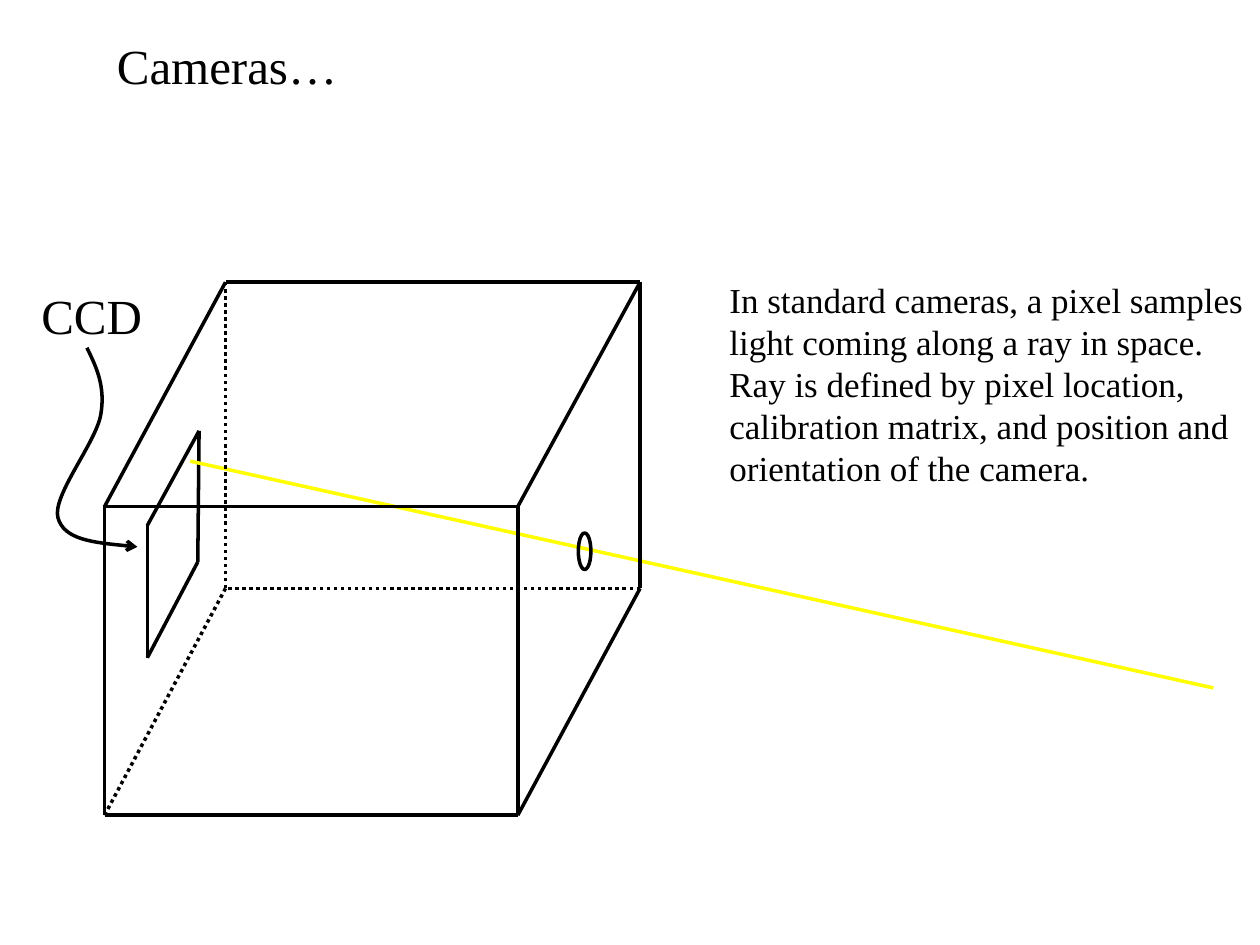
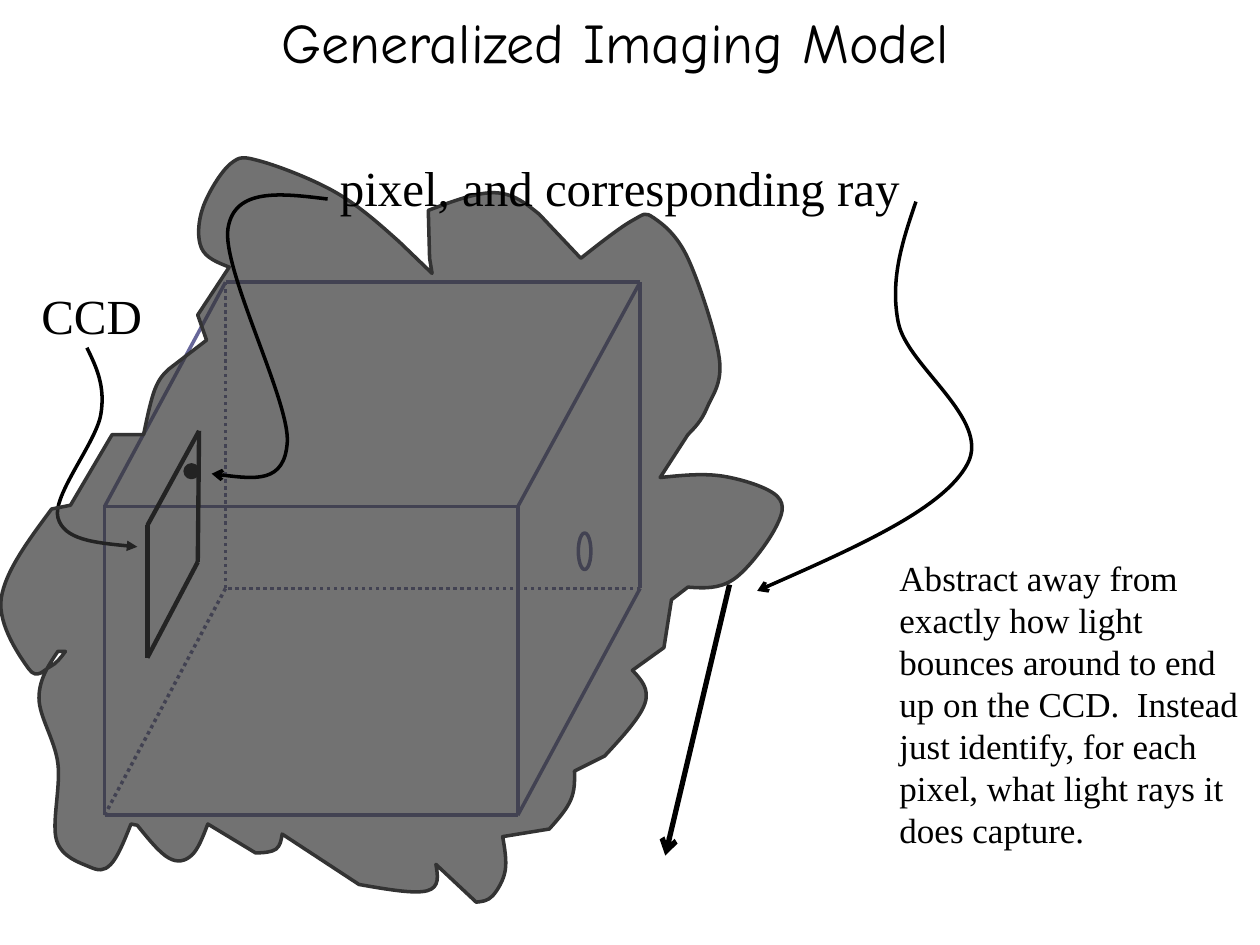
from dataclasses import dataclass
from lxml.etree import SubElement
from pptx import Presentation
from pptx.dml.color import RGBColor
from pptx.enum.dml import MSO_LINE
from pptx.enum.shapes import MSO_CONNECTOR, MSO_SHAPE
from pptx.enum.text import MSO_ANCHOR, MSO_AUTO_SIZE, PP_ALIGN
from pptx.oxml.ns import qn
from pptx.util import Cm, Pt


@dataclass(frozen=True)
class Theme:
    ink: str = "000000"
    paper: str = "FFFFFF"
    ray: str = "FFFF00"
    faded: str = "666699"
    cloud: str = "333333"
    cloud_opacity: int = 69
    serif: str = "Times New Roman"
    comic: str = "Comic Neue"
    title: int = 32
    label: int = 28
    body: int = 20
    thin: float = 2.01
    medium: float = 2.49
    thick: float = 3


THEME = Theme()
SLIDE_SIZE = (10, 7.5)

CAMERA_TITLE = ("Cameras…", (0.83, 0.23, 8.46, 0.57))
CAMERA_NOTE = (
    "In standard cameras, a pixel samples light coming along a ray in space.  "
    "Ray is defined by pixel location, calibration matrix, and position and "
    "orientation of the camera.", (5.69, 2.16, 4.31, 1.77))
MODEL_TITLE = ("Generalized Imaging Model", (0.72, 0, 8.33, 0.65))
MODEL_NOTE = (
    "Abstract away from exactly how light bounces around to end up on the CCD.  "
    "Instead just identify, for each pixel, what light rays it does capture.",
    (7.04, 4.37, 2.89, 2.44))
CCD_LABEL = ("CCD", (0.23, 2.22, 1, 0.57))
PIXEL_LABEL = ("pixel, and corresponding ray", (2.6, 1.2, 4.64, 0.57))

FRONT_FACE = [(0.83, 4.02), (4.11, 4.02), (4.11, 6.47), (0.83, 6.47)]
BACK_FACE = [(1.79, 2.24), (5.08, 2.24), (5.08, 4.67), (1.79, 4.67)]
HIDDEN_CORNER = BACK_FACE[3]
CCD_CORNERS = [(1.17, 4.17), (1.58, 3.42), (1.57, 4.46), (1.17, 5.22)]
PINHOLE = (4.59, 4.23, 0.1, 0.29)
PIXEL_DOT = (1.47, 3.69, 0.1, 0.1)
CAMERA_RAY = [(1.51, 3.66), (9.63, 5.46)]
MODEL_RAY = [(5.79, 4.64), (5.28, 6.79)]

CCD_POINTER = [(0.69, 2.76), (0.8, 3.29), (0.46, 4.11), (1.09, 4.34)]
PIXEL_POINTER = [(2.6, 1.58), (1.81, 1.81), (2.28, 3.51), (1.68, 3.76)]
RAY_POINTER = [(7.27, 1.6), (7.13, 2.56), (7.68, 3.68), (6.01, 4.69)]

CLOUD_LOBES = [
    [(5.46, 4.66), (5.82, 4.6), (6.15, 4.2), (6.17, 3.94), (5.74, 3.78), (5.24, 3.79)],
    [(5.46, 3.45), (5.61, 3.24), (5.71, 2.85), (5.46, 2.05), (5.19, 1.73),
     (5.02, 1.75), (4.61, 2.05)],
    [(4.28, 1.7), (3.93, 1.53), (3.4, 1.67)],
    [(3.41, 2.05), (3.43, 2.17)],
    [(3.17, 1.92), (2.67, 1.53), (2.07, 1.28), (1.83, 1.3), (1.61, 1.65),
     (1.6, 1.97), (1.82, 2.12)],
    [(1.57, 2.5), (1.64, 2.7)],
    [(1.34, 2.93), (1.23, 3.09), (1.14, 3.45)],
    [(0.89, 3.45), (0.56, 4.01)],
    [(0.41, 4.04), (0.01, 4.75), (0.23, 5.31), (0.4, 5.29), (0.52, 5.17)],
    [(0.46, 5.17), (0.31, 5.54), (0.46, 6.06), (0.45, 6.67), (0.71, 6.88),
     (0.88, 6.86), (1.04, 6.54)],
    [(1.09, 6.55), (1.34, 6.81), (1.52, 6.79), (1.65, 6.54)],
    [(2.03, 6.77), (2.19, 6.74), (2.24, 6.62)],
    [(2.85, 7.02), (3.39, 7.07), (3.46, 6.86)],
    [(3.78, 7.16), (3.91, 7.11), (4.01, 6.91), (3.99, 6.64)],
    [(4.36, 6.58), (4.53, 6.35), (4.56, 6.12)],
    [(4.8, 6), (5.12, 5.58), (5.02, 5.32)],
    [(5.27, 5.14), (5.33, 4.76)],
    [(5.46, 4.66)],
]


def lengths(inches):
    return [Cm(value * 2.54) for value in inches]


def style_line(shape, color, width, dotted=False, arrow=None):
    shape.line.color.rgb = RGBColor.from_string(color)
    shape.line.width = Pt(width)
    if dotted:
        shape.line.dash_style = MSO_LINE.ROUND_DOT
    if arrow:
        outline = shape.element.spPr.find(qn("a:ln"))
        SubElement(outline, qn("a:tailEnd"), type=arrow)


def style_fill(shape, color):
    if color is None:
        shape.fill.background()
    else:
        shape.fill.solid()
        shape.fill.fore_color.rgb = RGBColor.from_string(color)


def add_line(shapes, ends, color=THEME.ink, width=THEME.thin, dotted=False, arrow=None):
    start, end = ends
    connector = shapes.add_connector(MSO_CONNECTOR.STRAIGHT, *lengths(start + end))
    style_line(connector, color, width, dotted, arrow)
    SubElement(connector.element.spPr, qn("a:effectLst"))


def add_ellipse(shapes, frame, color, fill=None):
    ellipse = shapes.add_shape(MSO_SHAPE.OVAL, *lengths(frame))
    ellipse.shadow.inherit = False
    style_fill(ellipse, fill)
    style_line(ellipse, color, THEME.thin)


def middle(first, second):
    return tuple((a + b) / 2 for a, b in zip(first, second))


def smooth(knots):
    slopes = [
        tuple((b - a) / 6 for a, b in zip(before, after))
        for before, after in zip(knots, knots[2:])]
    leaving = [tuple(k + s for k, s in zip(*pair)) for pair in zip(knots[1:], slopes)]
    arriving = [tuple(k - s for k, s in zip(*pair)) for pair in zip(knots[1:], slopes)]
    leaving.insert(0, middle(knots[0], arriving[0] if arriving else knots[1]))
    arriving.append(middle(knots[-1], leaving[-1]))
    return [point for curve in zip(leaving, arriving, knots[1:]) for point in curve]


def add_curve(shapes, lobes, color=THEME.ink, arrow=None, fill=None):
    points = [lobes[0][0]]
    for lobe in lobes:
        if lobe[0] != points[-1]:
            points += [points[-1], lobe[0], lobe[0]]
        if len(lobe) > 1:
            points += smooth(lobe)
    start, *handles = [lengths(point) for point in points]
    builder = shapes.build_freeform(*start)
    builder.add_line_segments(handles, close=fill is not None)
    curve = builder.convert_to_shape()
    segments = list(curve.element.iter(qn("a:lnTo")))
    for first, second, third in zip(segments[::3], segments[1::3], segments[2::3]):
        first.tag = qn("a:cubicBezTo")
        for segment in (second, third):
            first.append(segment[0])
            segment.getparent().remove(segment)
    curve.shadow.inherit = False
    style_fill(curve, fill)
    style_line(curve, color, THEME.thin, arrow=arrow)
    return curve


def add_text(shapes, content, size, font=THEME.serif, wrap=True):
    text, frame = content
    box = shapes.add_textbox(*lengths(frame))
    text_frame = box.text_frame
    text_frame.text = text
    text_frame.word_wrap = wrap
    text_frame.auto_size = MSO_AUTO_SIZE.SHAPE_TO_FIT_TEXT
    run_font = text_frame.paragraphs[0].runs[0].font
    run_font.name = font
    run_font.size = Pt(size)
    run_font.color.rgb = RGBColor.from_string(THEME.ink)
    return text_frame


def outline_edges(corners):
    return list(zip(corners, corners[1:] + corners[:1]))


def add_camera_box(shapes, color, pinhole_fill=None):
    edges = outline_edges(FRONT_FACE) + outline_edges(BACK_FACE)
    for ends in edges + list(zip(FRONT_FACE, BACK_FACE)):
        add_line(shapes, ends, color, dotted=HIDDEN_CORNER in ends)
    add_ellipse(shapes, PINHOLE, color, pinhole_fill)


def add_ccd(shapes, width, arrow):
    group = shapes.add_group_shape()
    for ends in outline_edges(CCD_CORNERS):
        add_line(group.shapes, ends, width=width)
    add_text(group.shapes, CCD_LABEL, THEME.label, wrap=False)
    add_curve(group.shapes, [CCD_POINTER], arrow=arrow)


def build_camera_slide(shapes):
    add_text(shapes, CAMERA_TITLE, THEME.label)
    add_ccd(shapes, THEME.thin, "arrow")
    add_line(shapes, CAMERA_RAY, THEME.ray)
    add_text(shapes, CAMERA_NOTE, THEME.body)
    add_camera_box(shapes, THEME.ink)


def build_model_slide(shapes):
    title = add_text(shapes, MODEL_TITLE, THEME.title, THEME.comic)
    title.auto_size = MSO_AUTO_SIZE.NONE
    title.vertical_anchor = MSO_ANCHOR.MIDDLE
    title.paragraphs[0].alignment = PP_ALIGN.CENTER
    add_camera_box(shapes, THEME.faded, THEME.paper)
    add_line(shapes, MODEL_RAY, width=THEME.thick, arrow="arrow")
    add_ccd(shapes, THEME.medium, "triangle")
    add_ellipse(shapes, PIXEL_DOT, THEME.ink, THEME.ink)
    add_text(shapes, MODEL_NOTE, THEME.body)
    cloud = add_curve(shapes, CLOUD_LOBES, THEME.cloud, fill=THEME.cloud)
    cloud_color = cloud.element.spPr.find(qn("a:solidFill"))[0]
    SubElement(cloud_color, qn("a:alpha"), val=str(THEME.cloud_opacity * 1000))
    add_text(shapes, PIXEL_LABEL, THEME.label, wrap=False)
    for pointer in (PIXEL_POINTER, RAY_POINTER):
        add_curve(shapes, [pointer], arrow="arrow")


presentation = Presentation()
presentation.slide_width, presentation.slide_height = lengths(SLIDE_SIZE)
for build in (build_camera_slide, build_model_slide):
    slide = presentation.slides.add_slide(presentation.slide_layouts[6])
    build(slide.shapes)
presentation.save("out.pptx")
